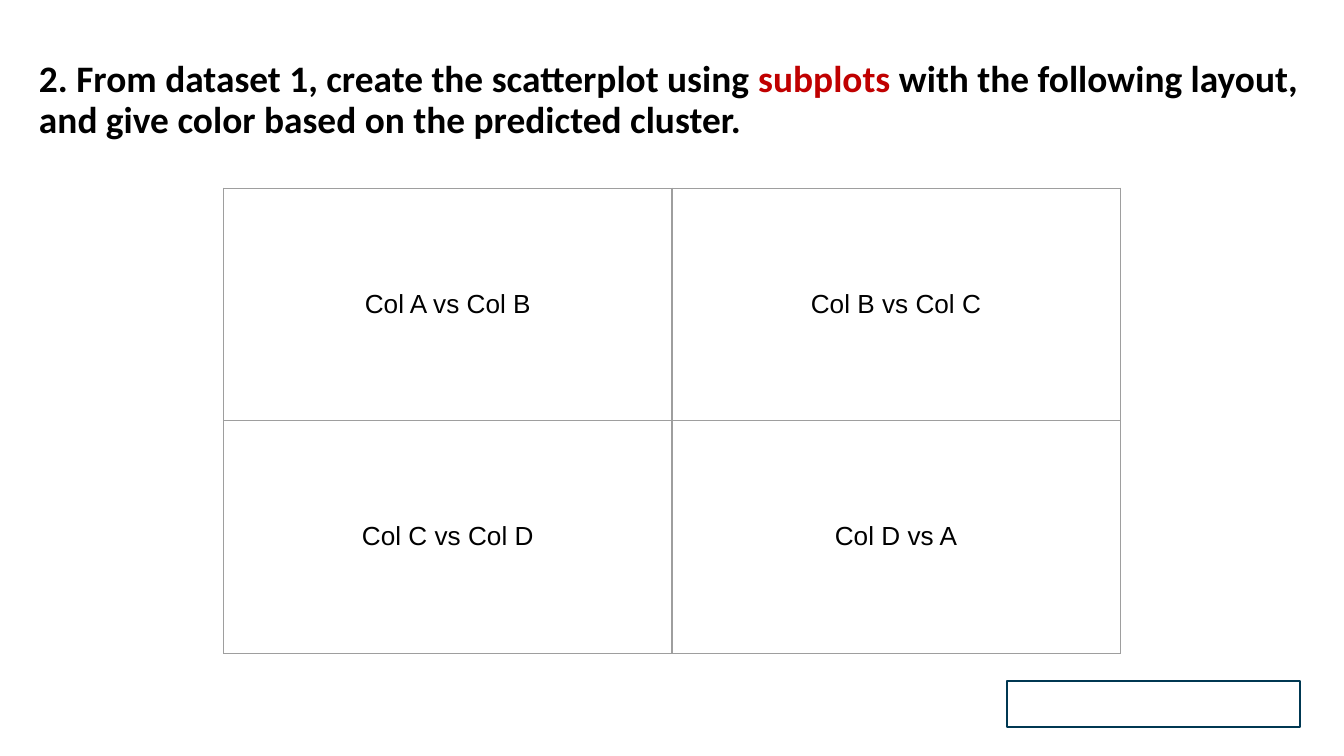
from lxml import etree
from pptx import Presentation
from pptx import util as u
from pptx.dml.color import RGBColor
from pptx.enum import shapes, text
from pptx.oxml.ns import qn

SLIDE_WIDTH = 10
SLIDE_HEIGHT = SLIDE_WIDTH * 9 / 16
BLACK, WHITE, RED, NAVY, GRAY = "000000", "FFFFFF", "C00000", "003852", "9E9E9E"
SUBPLOTS = [
    ["Col A vs Col B", "Col B vs Col C"],
    ["Col C vs Col D", "Col D vs A"],
]


def color(value):
    return RGBColor.from_string(value)


def place(shape, box):
    shape.left, shape.top, shape.width, shape.height = map(u.Inches, box)


def add_text(paragraph, content, size=14, font="Arial", fill=BLACK, bold=False):
    run = paragraph.add_run()
    run.text = content
    run.font.size = u.Pt(size)
    run.font.name = font
    run.font.bold = bold
    run.font.color.rgb = color(fill)


def set_borders(cell, line_color, width):
    properties = cell._tc.get_or_add_tcPr()
    # Border lines come before the fill in the cell properties
    for index, side in enumerate(("a:lnL", "a:lnR", "a:lnT", "a:lnB")):
        line = etree.Element(qn(side), w=str(u.Pt(width)))
        fill = etree.SubElement(line, qn("a:solidFill"))
        etree.SubElement(fill, qn("a:srgbClr"), val=line_color)
        properties.insert(index, line)


def build_title(slide, box):
    title = slide.shapes.title
    place(title, box)
    frame = title.text_frame
    frame.word_wrap = True
    frame.auto_size = text.MSO_AUTO_SIZE.NONE
    frame.vertical_anchor = text.MSO_ANCHOR.BOTTOM
    paragraph = frame.paragraphs[0]
    paragraph.alignment = text.PP_ALIGN.LEFT
    paragraph.line_spacing = 0.9
    for content, fill in (
        ("2. From dataset 1, create the scatterplot using ", BLACK),
        ("subplots", RED),
        (" with the following layout, and give color based on the predicted cluster.", BLACK),
    ):
        add_text(paragraph, content, size=20, font="Calibri", fill=fill, bold=True)


def build_layout_table(slide, box, labels):
    rows, columns = len(labels), len(labels[0])
    table = slide.shapes.add_table(rows, columns, *map(u.Inches, box)).table
    table.first_row = table.horz_banding = False
    for row, row_labels in enumerate(labels):
        for column, label in enumerate(row_labels):
            cell = table.cell(row, column)
            cell.fill.background()
            cell.vertical_anchor = text.MSO_ANCHOR.MIDDLE
            set_borders(cell, GRAY, 0.75)
            paragraph = cell.text_frame.paragraphs[0]
            paragraph.alignment = text.PP_ALIGN.CENTER
            add_text(paragraph, label)


def build_empty_box(slide, box):
    shape = slide.shapes.add_shape(shapes.MSO_SHAPE.RECTANGLE, *map(u.Inches, box))
    shape.shadow.inherit = False
    shape.fill.solid()
    shape.fill.fore_color.rgb = color(WHITE)
    shape.line.color.rgb = color(NAVY)
    shape.line.width = u.Pt(1)


def main():
    presentation = Presentation()
    presentation.slide_width = u.Inches(SLIDE_WIDTH)
    presentation.slide_height = u.Inches(SLIDE_HEIGHT)
    slide = presentation.slides.add_slide(presentation.slide_layouts[5])

    # Task statement
    build_title(slide, (0.19, 0.22, 9.66, 0.88))
    # Box in the lower right corner
    build_empty_box(slide, (7.49, 5.07, 2.18, 0.34))
    # Grid of subplots, centred across the slide
    table_width = 6.67
    table_left = (SLIDE_WIDTH - table_width) / 2
    build_layout_table(slide, (table_left, 1.4, table_width, 3.46), SUBPLOTS)

    presentation.save("out.pptx")


if __name__ == "__main__":
    main()
